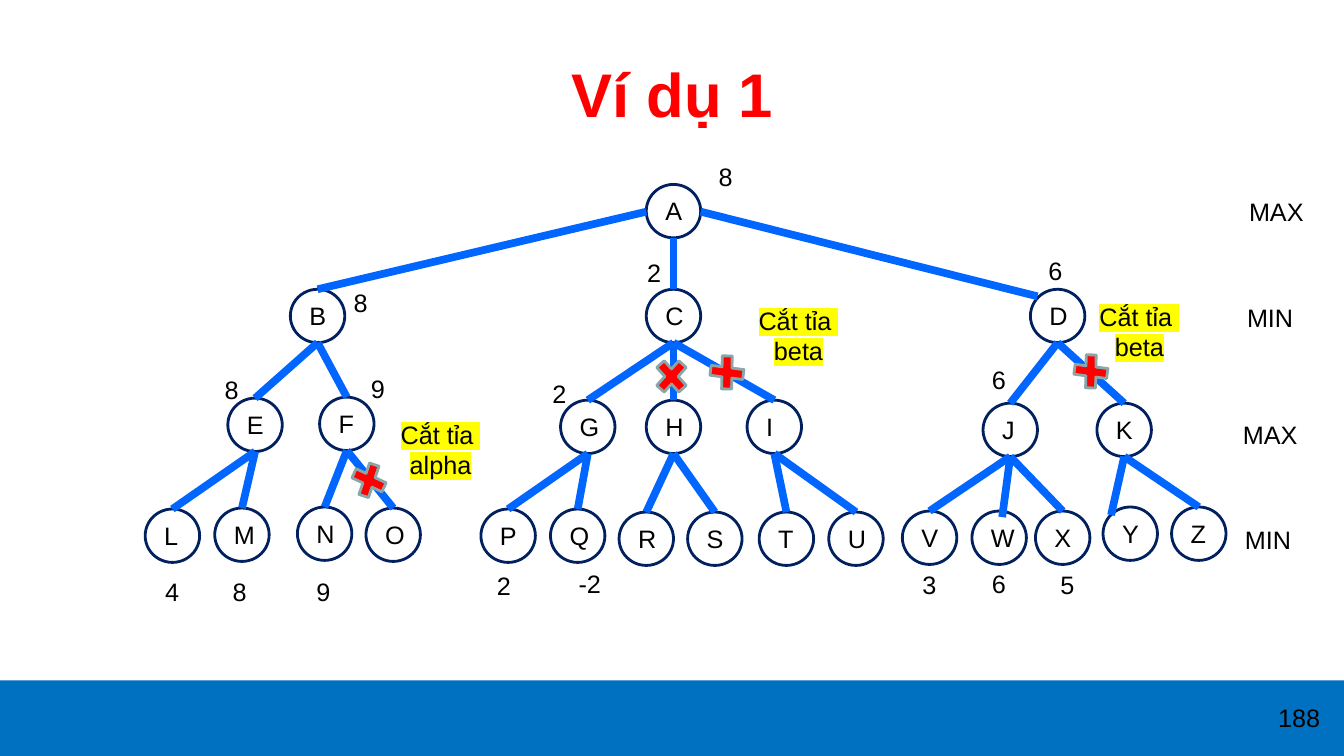
from lxml.etree import SubElement
from pptx import Presentation
from pptx.dml.color import RGBColor
from pptx.enum.shapes import MSO_CONNECTOR, MSO_SHAPE
from pptx.enum.text import MSO_ANCHOR, PP_ALIGN
from pptx.oxml import parse_xml
from pptx.oxml.ns import nsdecls, qn
from pptx.util import Inches, Pt

COLORS = {
    "bar": "0070C0", "title": "FF0000", "text": "000000", "node": "002060",
    "edge": "0066FF", "cut": "FF0000", "rim": "8AA6A8", "mark": "FFFF00",
}
WIDE, HIGH = 0.54, 0.53

NODES = {
    "A": (6.41, 1.83),
    "B": (2.88, 2.87), "C": (6.41, 2.87), "D": (10.22, 2.87),
    "E": (2.26, 3.95), "F": (3.17, 3.94), "G": (5.56, 3.97),
    "H": (6.41, 3.97), "I": (7.41, 3.97), "J": (9.75, 4), "K": (10.88, 4),
    "L": (1.44, 5.05), "M": (2.13, 5.04), "N": (2.95, 5.03),
    "O": (3.63, 5.04), "P": (4.77, 5.05), "Q": (5.46, 5.05),
    "R": (6.14, 5.08), "S": (6.82, 5.08), "T": (7.53, 5.08),
    "U": (8.22, 5.08), "V": (8.95, 5.07), "W": (9.64, 5.07),
    "X": (10.27, 5.07), "Y": (10.94, 5.03), "Z": (11.62, 5.03),
}
TREE = {
    "A": "BCD", "B": "EF", "C": "GHI", "D": "JK", "E": "LM", "F": "NO",
    "G": "PQ", "H": "RS", "I": "TU", "J": "VWX", "K": "YZ",
}
STARTS = {"B": (6.41, 2.1), "D": (6.95, 2.1)}
ENDS = {"D": (10.29, 2.94), "W": (9.94, 5.13), "Y": (11.02, 5.11)}
LABELS = [
    ("MAX", 12.29, 1.9), ("MIN", 12.27, 2.95),
    ("MAX", 12.23, 4.11), ("MIN", 12.25, 5.15),
    ("8", 7.03, 1.55), ("8", 3.41, 2.8), ("8", 2.13, 3.66),
    ("9", 3.58, 3.65), ("4", 1.54, 5.67), ("8", 2.21, 5.67),
    ("9", 3.04, 5.67), ("2", 4.83, 5.61), ("-2", 5.64, 5.59),
    ("2", 5.38, 3.7), ("2", 6.32, 2.5), ("3", 9.05, 5.6),
    ("6", 9.74, 5.59), ("5", 10.42, 5.6), ("6", 9.74, 3.57),
    ("6", 10.3, 2.48),
]
CUTS = [(3.45, 4.53, 336.8), (7, 3.46, 319.3), (6.45, 3.5, 0), (10.61, 3.45, 319.3)]
NOTES = [("alpha", 3.87, 4.11), ("beta", 7.42, 2.98), ("beta", 10.8, 2.94)]


class Canvas:
    font = {"name": "Arial", "size": Pt(18), "bold": False}

    def __init__(self, slide):
        self.shapes = slide.shapes

    def color(self, name):
        return RGBColor.from_string(COLORS[name])

    def shape(self, kind, box, fill=None, line=None, turn=0):
        item = self.shapes.add_shape(kind, *map(Inches, box))
        item.shadow.inherit = False
        item.rotation = turn
        if fill:
            item.fill.solid()
            item.fill.fore_color.rgb = self.color(fill)
        else:
            item.fill.background()
        if line:
            item.line.color.rgb = self.color(line)
            item.line.width = Pt(2)
        else:
            item.line.fill.background()

    def text(self, lines, box, color="text", mark=None, wrap=True,
             align=PP_ALIGN.LEFT, anchor=MSO_ANCHOR.TOP, **style):
        frame = self.shapes.add_textbox(*map(Inches, box)).text_frame
        frame.word_wrap = wrap
        frame.vertical_anchor = anchor
        for index, line in enumerate(lines):
            para = frame.add_paragraph() if index else frame.paragraphs[0]
            para.alignment = align
            run = para.add_run()
            run.text = line
            for key, value in {**self.font, **style}.items():
                setattr(run.font, key, value)
            run.font.color.rgb = self.color(color)
            if mark:
                fill = run.font._element.find(qn("a:solidFill"))
                fill.addnext(parse_xml(
                    f'<a:highlight {nsdecls("a")}>'
                    f'<a:srgbClr val="{COLORS[mark]}"/></a:highlight>'))

    def node(self, name, left, top):
        self.shape(MSO_SHAPE.OVAL, (left, top, WIDE, HIGH), line="node")
        self.text([name], (left + 0.09, top + 0.06, 0.45, 0.4))

    def edge(self, start, end):
        item = self.shapes.add_connector(
            MSO_CONNECTOR.STRAIGHT, *map(Inches, (*start, *end)))
        item.line.color.rgb = self.color("edge")
        item.line.width = Pt(5.5)
        SubElement(item._element.spPr, qn("a:effectLst"))


def main():
    deck = Presentation()
    deck.slide_width, deck.slide_height = Inches(13.33), Inches(7.5)
    canvas = Canvas(deck.slides.add_slide(deck.slide_layouts[6]))
    center = PP_ALIGN.CENTER

    canvas.shape(MSO_SHAPE.RECTANGLE, (0, 6.75, 13.33, 0.75), fill="bar")
    canvas.text(["188"], (12.44, 6.92, 0.89, 0.4), align=center)
    canvas.text(["Ví dụ 1"], (0.67, 0.3, 12, 1.25), color="title", align=center,
                anchor=MSO_ANCHOR.MIDDLE, size=Pt(44), bold=True)

    for name, (left, top) in NODES.items():
        canvas.node(name, left, top)
    for label, left, top in LABELS:
        canvas.text([label], (left, top, 0.8, 0.4))

    for parent, children in TREE.items():
        left, top = NODES[parent]
        base = (left + WIDE / 2, top + HIGH)
        for child in children:
            x, y = NODES[child]
            canvas.edge(STARTS.get(child, base), ENDS.get(child, (x + WIDE / 2, y)))

    for left, top, turn in CUTS:
        canvas.shape(MSO_SHAPE.MATH_MULTIPLY, (left, top, 0.42, 0.47),
                     fill="cut", line="rim", turn=turn)
    for kind, left, top in NOTES:
        canvas.text(["Cắt tỉa ", kind], (left, top, 1, 0.71),
                    mark="mark", wrap=False, align=center)

    deck.save("out.pptx")


if __name__ == "__main__":
    main()
